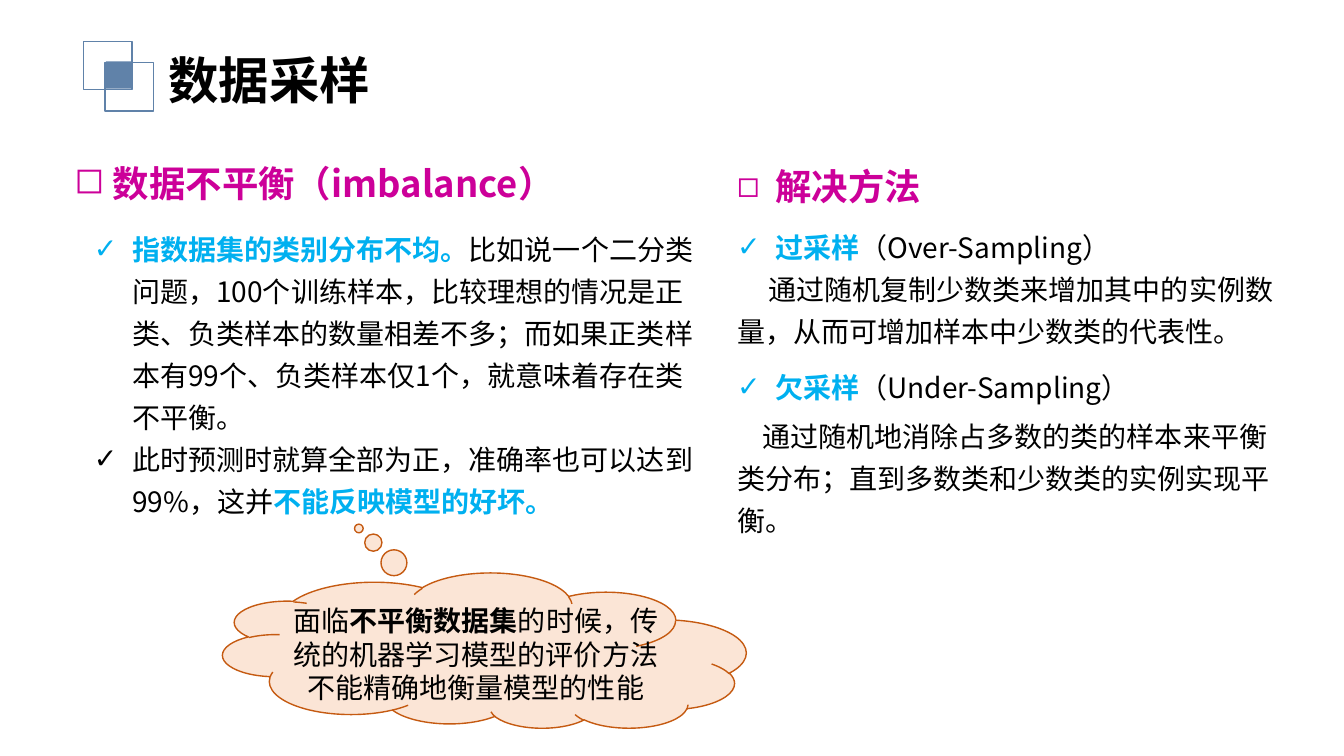
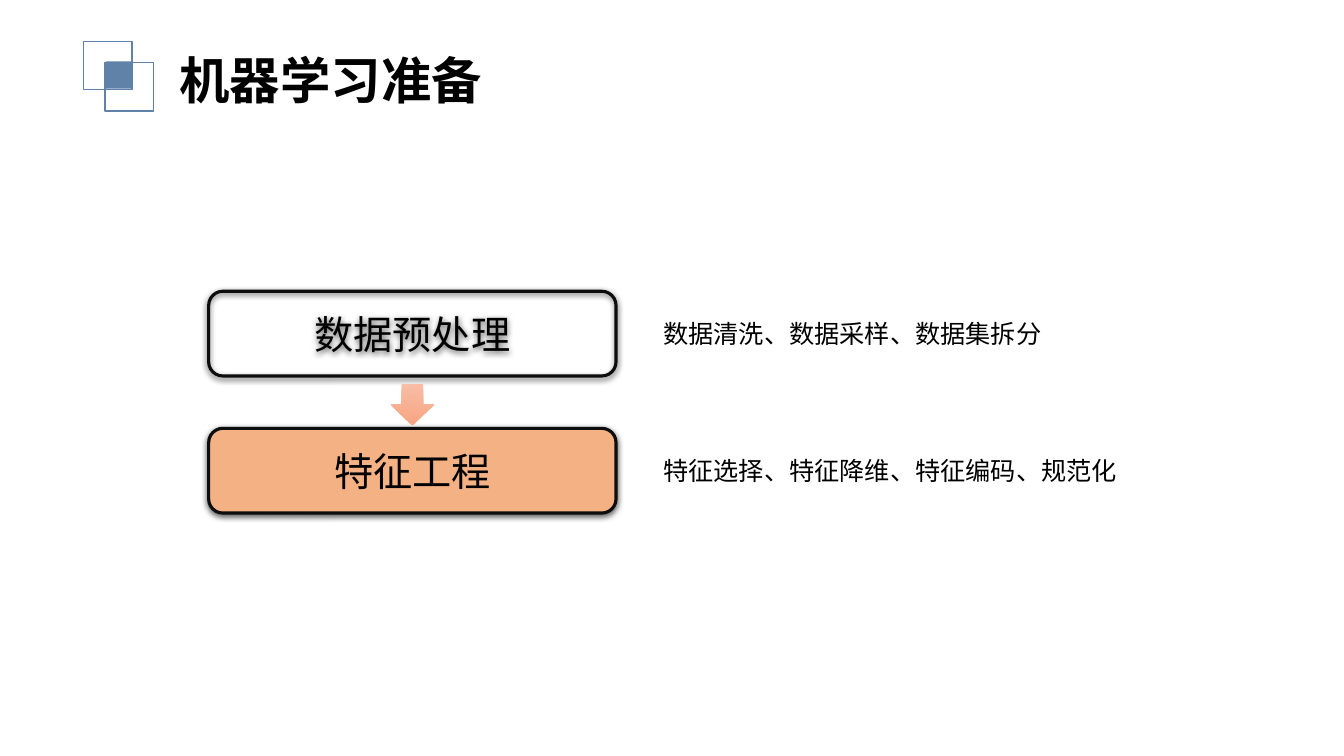
import pptx
import pptx.util
import pptx.dml.color
from pptx.enum.shapes import MSO_SHAPE
from pptx.enum.text import MSO_ANCHOR, MSO_AUTO_SIZE, PP_ALIGN
from pptx.oxml import parse_xml
from pptx.oxml.ns import nsdecls, qn
from pptx.oxml.xmlchemy import OxmlElement

RGBColor, Inches, Pt = pptx.dml.color.RGBColor, pptx.util.Inches, pptx.util.Pt

# Shared look
FONT = "Noto Sans CJK SC"
BLACK = RGBColor(0x00, 0x00, 0x00)
STEEL = RGBColor(0x60, 0x82, 0xA9)
MAGENTA = RGBColor(0xCC, 0x00, 0x99)
SKY = RGBColor(0x00, 0xB0, 0xF0)
PEACH = RGBColor(0xFB, 0xE5, 0xD6)
RUST = RGBColor(0xC5, 0x5A, 0x11)
ORANGE = RGBColor(0xF4, 0xB1, 0x83)
NEAR_BLACK = RGBColor(0x0D, 0x0D, 0x0D)
ARROW_TOP = RGBColor(0xF7, 0xBD, 0xA5)
ARROW_END = RGBColor(0xF8, 0xA5, 0x82)
HANG = 0.38

# Kinds of paragraph
HEADING = dict(size=26, color=MAGENTA, bold=True, bullet="◻", after=10)
POINT = dict(size=20, bullet="✓", spacing=1.25)
DETAIL = dict(size=20, spacing=1.25)
LABEL = dict(size=18)
STEP = dict(size=28, align=PP_ALIGN.CENTER)

# Content: each paragraph is (spans, style), each span is (text, look)
KEY = dict(color=SKY, bold=True)
STRONG = dict(bold=True)
PLAIN = {}

IMBALANCE_HEADING = [([("数据不平衡（imbalance）", PLAIN)], HEADING)]
IMBALANCE = [
    ([("指数据集的类别分布不均。", KEY),
      ("比如说一个二分类问题，100个训练样本，比较理想的情况是正类、负类样本的数量相差不多；"
       "而如果正类样本有99个、负类样本仅1个，就意味着存在类不平衡。", PLAIN)], POINT),
    ([("此时预测时就算全部为正，准确率也可以达到99%，这并", PLAIN),
      ("不能反映模型的好坏。", KEY)], POINT),
]
SOLUTIONS = [
    ([("解决方法", PLAIN)], HEADING),
    ([("过采样", KEY), ("（Over-Sampling）", PLAIN)], POINT),
    ([("通过随机复制少数类来增加其中的实例数量，从而可增加样本中少数类的代表性。", PLAIN)],
     dict(DETAIL, first=0.31)),
    ([("欠采样", KEY), ("（Under-Sampling）", PLAIN)], dict(POINT, before=10)),
    ([("通过随机地消除占多数的类的样本来平衡类分布；直到多数类和少数类的实例实现平衡。", PLAIN)],
     dict(DETAIL, first=0.25, before=5)),
]
CLOUD_NOTE = [
    ([("面临", PLAIN), ("不平衡数据集", STRONG),
      ("的时候，传统的机器学习模型的评价方法不能精确地衡量模型的性能", PLAIN)],
     dict(size=20, align=PP_ALIGN.CENTER)),
]
STEPS = [
    ("数据预处理", None, "数据清洗、数据采样、数据集拆分"),
    ("特征工程", ORANGE, "特征选择、特征降维、特征编码、规范化"),
]


def write_paragraph(para, spans, size, color=BLACK, bold=False, bullet=None, first=0,
                    spacing=1.0, before=0, after=0, align=PP_ALIGN.LEFT):
    para.alignment = align
    para.line_spacing = spacing
    para.space_before, para.space_after = Pt(before), Pt(after)
    props = para._p.get_or_add_pPr()
    props.set("marL", str(Inches(HANG if bullet else 0)))
    props.set("indent", str(Inches(-HANG if bullet else first)))
    mark = OxmlElement("a:buChar" if bullet else "a:buNone")
    if bullet:
        mark.set("char", bullet)
    props.append(mark)
    font = para.font
    font.size, font.bold, font.name = Pt(size), bold, FONT
    font.color.rgb = color
    asian = OxmlElement("a:ea")
    asian.set("typeface", FONT)
    props.find(qn("a:defRPr")).append(asian)
    for text, look in spans:
        span = para.add_run()
        span.text = text
        if "bold" in look:
            span.font.bold = look["bold"]
        if "color" in look:
            span.font.color.rgb = look["color"]


def fill_text(shape, paragraphs, anchor=MSO_ANCHOR.TOP, wrap=True):
    frame = shape.text_frame
    frame.word_wrap = wrap
    frame.auto_size = MSO_AUTO_SIZE.NONE
    frame.vertical_anchor = anchor
    for index, (spans, style) in enumerate(paragraphs):
        para = frame.add_paragraph() if index else frame.paragraphs[0]
        write_paragraph(para, spans, **style)


def place(shape, left, top, width, height):
    shape.left, shape.top = Inches(left), Inches(top)
    shape.width, shape.height = Inches(width), Inches(height)
    return shape


def add_text(page, at, paragraphs, wrap=True):
    box = page.shapes.add_textbox(*map(Inches, at))
    fill_text(box, paragraphs, wrap=wrap)


def add_shape(page, kind, at, fill=None, line=None, weight=1):
    shape = page.shapes.add_shape(kind, *map(Inches, at))
    shape.shadow.inherit = False
    if fill is None:
        shape.fill.background()
    else:
        shape.fill.solid()
        shape.fill.fore_color.rgb = fill
    if line is None:
        shape.line.fill.background()
    else:
        shape.line.color.rgb = line
        shape.line.width = Pt(weight)
    return shape


def add_soft_shadow(shape):
    effects = shape.element.spPr.find(qn("a:effectLst"))
    effects.append(parse_xml(
        f'<a:outerShdw {nsdecls("a")} blurRad="{Pt(4.5)}" dist="{Pt(1.5)}" dir="5400000" '
        'algn="t" rotWithShape="0"><a:srgbClr val="000000"><a:alpha val="63000"/>'
        '</a:srgbClr></a:outerShdw>'))


def set_title(page, text, left):
    title = place(page.shapes.title, left, 0.44, 4.52, 0.71)
    fill_text(title, [([(text, PLAIN)], dict(size=36, bold=True))])


def add_master_squares(deck, page):
    """Draw the overlapping squares, then hand them to the slide master."""
    squares = [
        ((0.83, 0.41, 0.48, 0.48), None, STEEL),
        ((1.04, 0.62, 0.48, 0.48), None, STEEL),
        ((1.05, 0.61, 0.25, 0.27), STEEL, None),
    ]
    tree = deck.slide_master.element.cSld.spTree
    for index, (at, fill, line) in enumerate(squares):
        square = add_shape(page, MSO_SHAPE.RECTANGLE, at, fill, line)
        square.element.nvSpPr.cNvPr.set("id", str(101 + index))
        tree.insert(2 + index, square.element)


def build_sampling(page):
    set_title(page, "数据采样", 1.57)
    add_text(page, (0.64, 1.55, 5.69, 0.54), IMBALANCE_HEADING)
    fill_text(place(page.placeholders[1], 0.83, 2.17, 6.2, 3.05), IMBALANCE)
    fill_text(place(page.placeholders[2], 7.21, 1.58, 5.58, 3.83), SOLUTIONS)

    # Thought cloud, turned over so that its bubbles rise
    cloud = add_shape(page, MSO_SHAPE.CLOUD_CALLOUT, (2.21, 5.69, 5.19, 1.54), PEACH, RUST)
    cloud.adjustments[0], cloud.adjustments[1] = -0.24, 0.79
    cloud.element.spPr.find(qn("a:xfrm")).set("flipV", "1")
    add_text(page, (2.7, 5.94, 4.04, 1.11), CLOUD_NOTE)


def build_preparation(page):
    set_title(page, "机器学习准备", 1.68)
    left, top, width, height, pitch = 2.07, 2.89, 4.04, 0.84, 1.36
    for row, (name, fill, parts) in enumerate(STEPS):
        y = top + row * pitch
        step = add_shape(page, MSO_SHAPE.ROUNDED_RECTANGLE, (left, y, width, height),
                         fill, NEAR_BLACK, 2.25)
        add_soft_shadow(step)
        fill_text(step, [([(name, PLAIN)], STEP)], MSO_ANCHOR.MIDDLE)
        add_text(page, (6.48, y + 0.22, 4.75, 0.4), [([(parts, PLAIN)], LABEL)], wrap=False)

    # Arrow in the gap between the steps
    arrow_width = 0.43
    arrow = add_shape(page, MSO_SHAPE.DOWN_ARROW,
                      (left + (width - arrow_width) / 2, top + height + 0.08, arrow_width, 0.41))
    arrow.fill.gradient()
    arrow.fill.gradient_angle = 270
    for stop, color in zip(arrow.fill.gradient_stops, (ARROW_TOP, ARROW_END)):
        stop.color.rgb = color


def main():
    deck = pptx.Presentation()
    deck.slide_width, deck.slide_height = Inches(13.33), Inches(7.5)
    two_content, title_only = deck.slide_layouts[3], deck.slide_layouts[5]
    sampling = deck.slides.add_slide(two_content)
    add_master_squares(deck, sampling)
    build_sampling(sampling)
    build_preparation(deck.slides.add_slide(title_only))
    deck.save("out.pptx")


if __name__ == "__main__":
    main()
